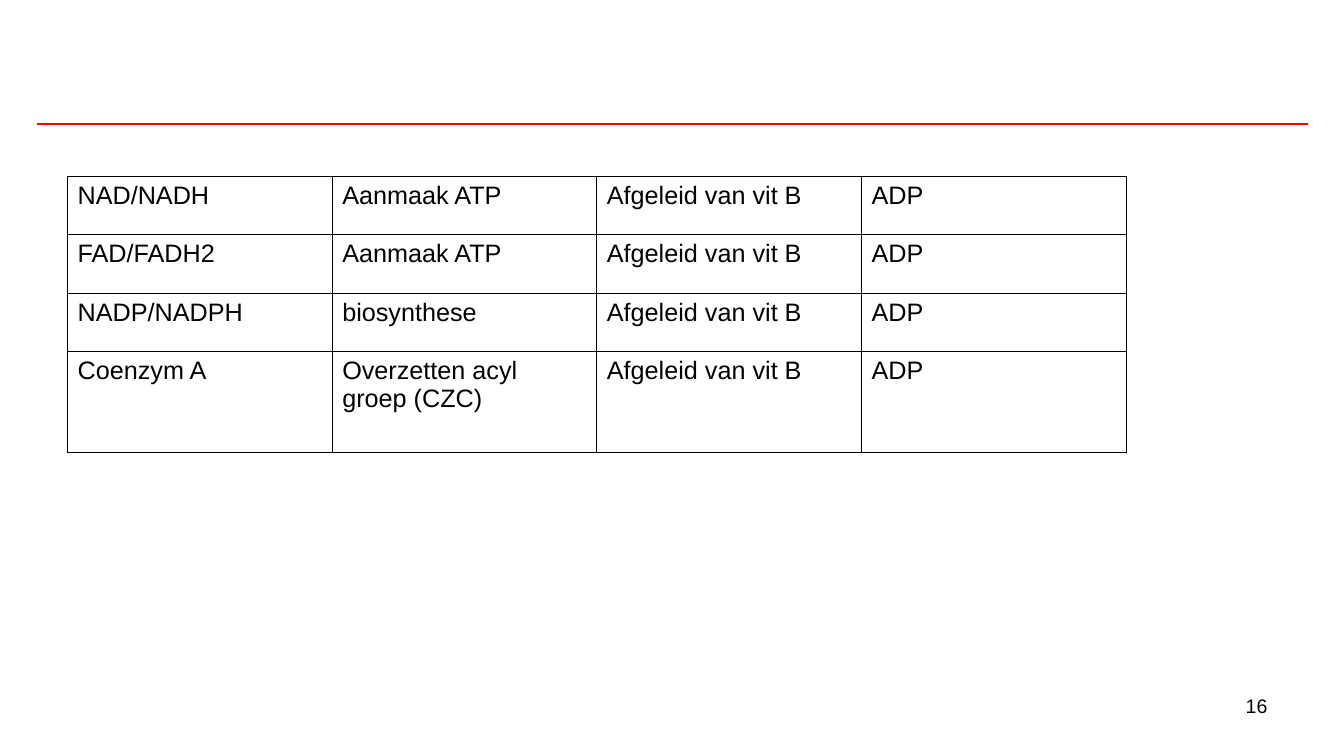
import pptx
import pptx.util
import pptx.dml.color
import pptx.enum.shapes
import pptx.enum.text
import pptx.oxml
import pptx.oxml.ns
from pptx.util import Inches


def color(hex_value):
    return pptx.dml.color.RGBColor.from_string(hex_value)


def write(frame, text, size=18, align=pptx.enum.text.PP_ALIGN.LEFT, fill="000000"):
    frame.word_wrap = True
    paragraph = frame.paragraphs[0]
    paragraph.alignment = align
    run = paragraph.add_run()
    run.text = text
    run.font.name = "Arial"
    run.font.size = pptx.util.Pt(size)
    run.font.color.rgb = color(fill)


deck = pptx.Presentation()
deck.slide_width = Inches(13.33)
deck.slide_height = Inches(7.5)
slide = deck.slides.add_slide(deck.slide_layouts[6])
slide.background.fill.solid()
slide.background.fill.fore_color.rgb = color("FFFFFF")

# Red header rule
header_rule = slide.shapes.add_connector(
    pptx.enum.shapes.MSO_CONNECTOR.STRAIGHT,
    Inches(0.37), Inches(1.23), Inches(12.97), Inches(1.23))
header_rule.line.color.rgb = color("FF0000")
header_rule.line.width = pptx.util.Pt(1.5)
header_rule._element.spPr.append(pptx.oxml.parse_xml(
    f'<a:effectLst {pptx.oxml.ns.nsdecls("a")}/>'))

# Coenzyme table: name, function, origin, shared building block
coenzymes = [
    ("NAD/NADH", "Aanmaak ATP"),
    ("FAD/FADH2", "Aanmaak ATP"),
    ("NADP/NADPH", "biosynthese"),
    ("Coenzym A", "Overzetten acyl groep (CZC)"),
]
row_heights = [0.58, 0.58, 0.58, 1]
coenzyme_table = slide.shapes.add_table(
    4, 4, Inches(0.67), Inches(1.75), Inches(10.5), Inches(2.75)).table
coenzyme_table.first_row = False
coenzyme_table.horz_banding = False
for column in coenzyme_table.columns:
    column.width = Inches(10.5 / 4)

for row, (coenzyme, height) in enumerate(zip(coenzymes, row_heights)):
    coenzyme_table.rows[row].height = Inches(height)
    for column, text in enumerate((*coenzyme, "Afgeleid van vit B", "ADP")):
        cell = coenzyme_table.cell(row, column)
        write(cell.text_frame, text)
        # Borders come before the fill in the cell properties
        properties = cell._tc.get_or_add_tcPr()
        for side in ("lnL", "lnR", "lnT", "lnB"):
            properties.append(pptx.oxml.parse_xml(
                f'<a:{side} {pptx.oxml.ns.nsdecls("a")} w="12700"><a:solidFill>'
                f'<a:srgbClr val="000000"/></a:solidFill></a:{side}>'))
        cell.fill.background()

# Page number
page_number = slide.shapes.add_textbox(
    Inches(9.56), Inches(6.83), Inches(3.11), Inches(0.52))
write(page_number.text_frame, "16", size=14, align=pptx.enum.text.PP_ALIGN.RIGHT)

deck.save("out.pptx")
